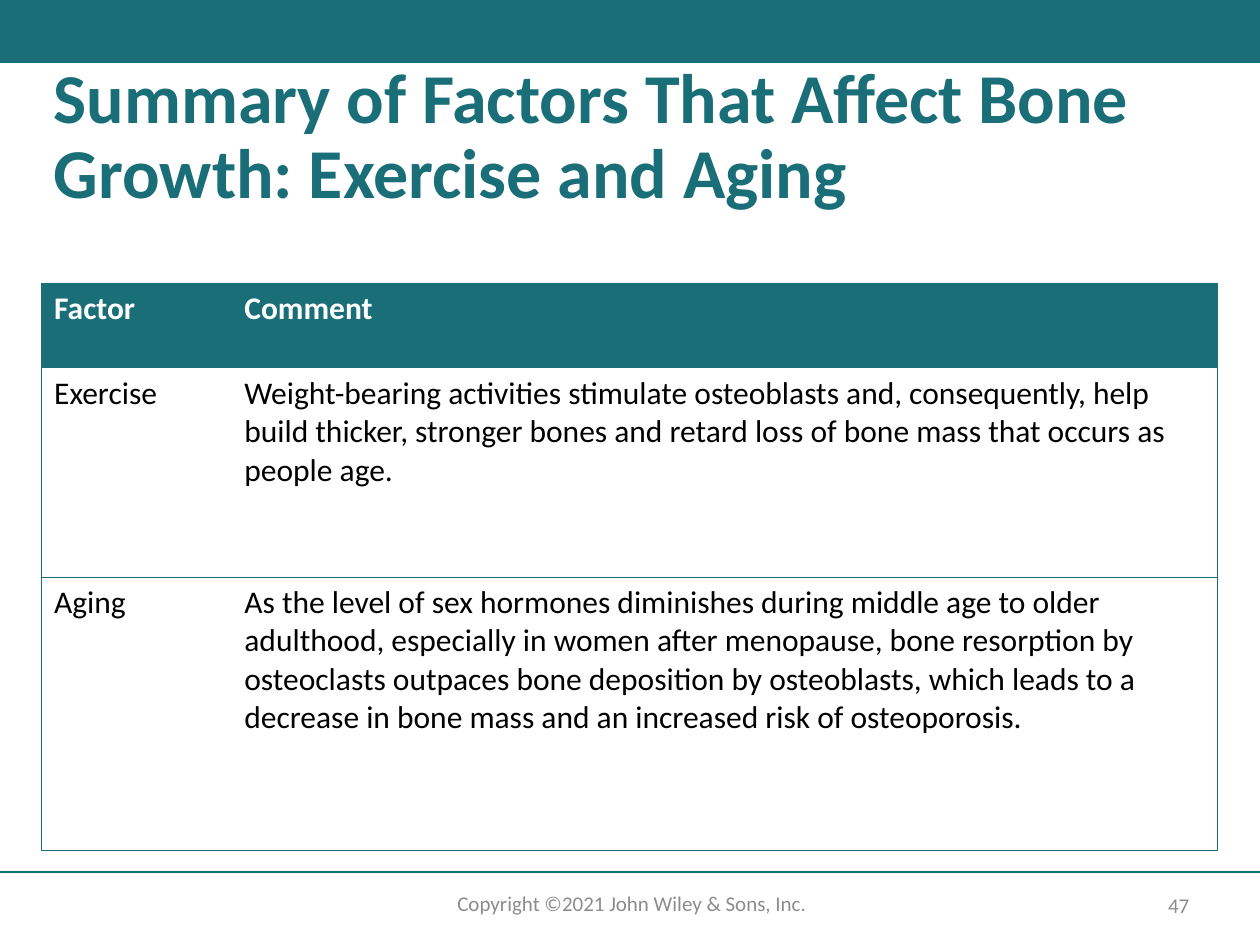
from lxml.etree import SubElement
from pptx import Presentation
from pptx.dml.color import RGBColor
from pptx.enum.shapes import MSO_CONNECTOR, MSO_SHAPE
from pptx.enum.text import MSO_ANCHOR, PP_ALIGN
from pptx.oxml.ns import qn
from pptx.util import Inches, Pt

TEAL, GRAY, WHITE, BLACK = "196E78", "8C8C8C", "FFFFFF", "000000"
COLUMN_WIDTHS = [1.51, 7.82]
ROW_HEIGHTS = [0.67, 1.66, 2.17]
FACTORS = [
    ("Factor", "Comment"),
    ("Exercise", "Weight-bearing activities stimulate osteoblasts and, consequently, help "
     "build thicker, stronger bones and retard loss of bone mass that occurs as people age."),
    ("Aging", "As the level of sex hormones diminishes during middle age to older adulthood, "
     "especially in women after menopause, bone resorption by osteoclasts outpaces bone "
     "deposition by osteoblasts, which leads to a decrease in bone mass and an increased "
     "risk of osteoporosis."),
]


def rgb(value):
    """Turn a hex string into a colour."""
    return RGBColor.from_string(value)


def write(text_frame, text, size, color, bold=False, align=PP_ALIGN.LEFT):
    """Put one formatted paragraph in a text frame and return it."""
    text_frame.text = text
    text_frame.word_wrap = True
    paragraph = text_frame.paragraphs[0]
    paragraph.alignment = align
    font = paragraph.runs[0].font
    font.name, font.size, font.bold = "Calibri", Pt(size), bold
    font.color.rgb = rgb(color)
    return paragraph


def add_text(slide, box, text, size, color, anchor=MSO_ANCHOR.TOP, **style):
    """Add a text box and return its paragraph."""
    text_frame = slide.shapes.add_textbox(*map(Inches, box)).text_frame
    text_frame.vertical_anchor = anchor
    return write(text_frame, text, size, color, **style)


def add_banner(slide):
    """Add the coloured band across the top."""
    shape = slide.shapes.add_shape(MSO_SHAPE.RECTANGLE, 0, 0, Inches(10), Inches(0.5))
    shape.shadow.inherit = False
    shape.fill.solid()
    shape.fill.fore_color.rgb = rgb(TEAL)
    shape.line.fill.background()


def add_rule(slide, top):
    """Add a thin line across the slide."""
    line = slide.shapes.add_connector(
        MSO_CONNECTOR.STRAIGHT, 0, Inches(top), Inches(10), Inches(top))
    line.line.color.rgb = rgb(TEAL)
    line.line.width = Pt(1)
    SubElement(line._element.spPr, qn("a:effectLst"))


def set_borders(cell, visible_sides):
    """Draw the named sides of a cell and clear the others."""
    properties = cell._tc.get_or_add_tcPr()
    for side in "LRTB":
        border = SubElement(properties, qn(f"a:ln{side}"), w=str(Pt(0.5)))
        if side in visible_sides:
            fill = SubElement(border, qn("a:solidFill"))
            SubElement(fill, qn("a:srgbClr"), val=TEAL)
        else:
            SubElement(border, qn("a:noFill"))


def add_factor_table(slide):
    """Add the table of factors and comments."""
    table = slide.shapes.add_table(
        len(FACTORS), len(COLUMN_WIDTHS), Inches(0.33), Inches(2.25),
        Inches(sum(COLUMN_WIDTHS)), Inches(sum(ROW_HEIGHTS))).table
    for column, width in zip(table.columns, COLUMN_WIDTHS):
        column.width = Inches(width)
    for row, height in zip(table.rows, ROW_HEIGHTS):
        row.height = Inches(height)
    for row_index, texts in enumerate(FACTORS):
        header = row_index == 0
        for column_index, text in enumerate(texts):
            cell = table.cell(row_index, column_index)
            set_borders(cell, "TB" + "LR"[column_index])
            cell.fill.solid()
            cell.fill.fore_color.rgb = rgb(TEAL if header else WHITE)
            write(cell.text_frame, text, 18, WHITE if header else BLACK, bold=header)


def main():
    """Build the slide and save it."""
    presentation = Presentation()
    presentation.slide_width, presentation.slide_height = Inches(10), Inches(7.5)
    slide = presentation.slides.add_slide(presentation.slide_layouts[6])
    add_banner(slide)
    add_rule(slide, 6.92)
    add_text(slide, (3.22, 7.02, 3.59, 0.3), "Copyright ©2021 John Wiley & Sons, Inc.",
             12, GRAY, align=PP_ALIGN.CENTER)
    add_text(slide, (9.05, 7.04, 0.61, 0.28), "47", 12, GRAY,
             anchor=MSO_ANCHOR.MIDDLE, align=PP_ALIGN.CENTER)
    title = add_text(slide, (0.33, 0.45, 9.33, 1.22),
                     "Summary of Factors That Affect Bone Growth: Exercise and Aging",
                     40, TEAL, bold=True)
    title.line_spacing = 0.9
    add_factor_table(slide)
    presentation.save("out.pptx")


if __name__ == "__main__":
    main()
